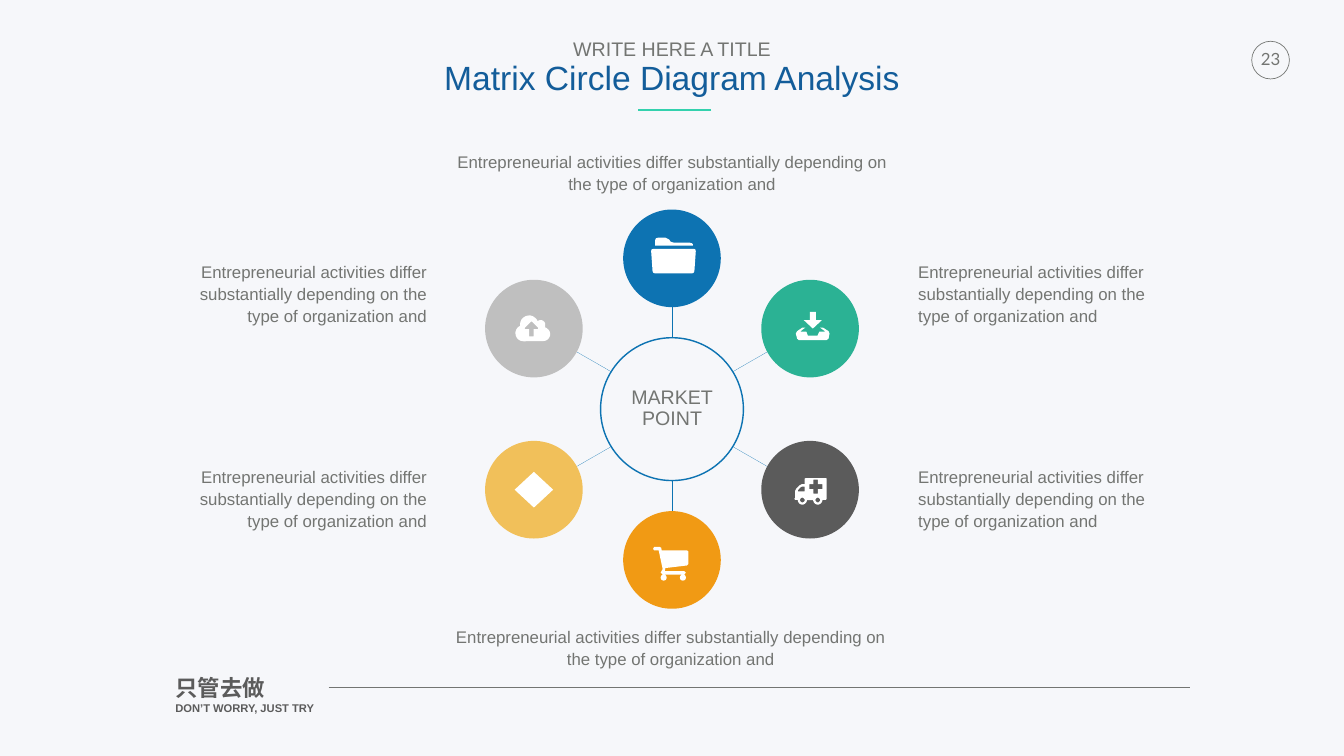
from dataclasses import dataclass
from math import cos, radians, sin

from lxml.etree import SubElement
from pptx import Presentation
from pptx.dml.color import RGBColor
from pptx.enum.shapes import MSO_CONNECTOR, MSO_SHAPE
from pptx.enum.text import MSO_ANCHOR, PP_ALIGN
from pptx.oxml.ns import qn
from pptx.util import Cm, Pt


@dataclass(frozen=True)
class Theme:
    background: str = "F6F7FA"
    grey: str = "737572"
    dark: str = "5B5B5B"
    title: str = "135D9A"
    accent: str = "33D1AD"
    blue: str = "0D73B2"
    green: str = "2BB294"
    orange: str = "F19A14"
    yellow: str = "F1C05A"
    silver: str = "BFBFBF"
    white: str = "FFFFFF"
    font: str = "Arial"
    number_font: str = "Lato"
    title_size: int = 48
    slogan_size: int = 32
    heading_size: int = 28
    body_size: int = 24
    small_size: int = 16


theme = Theme()


def add_text(box, lines, align=PP_ALIGN.CENTER, spacing=1.0, inset=0.0,
             anchor=MSO_ANCHOR.TOP, wrap=True, bold=False, font=theme.font):
    """Add a text box; each line is (text, size, colour)."""
    text_frame = slide.shapes.add_textbox(*map(Cm, box)).text_frame
    text_frame.word_wrap = wrap
    text_frame.vertical_anchor = anchor
    text_frame.margin_left = text_frame.margin_right = Cm(inset)
    text_frame.margin_top = text_frame.margin_bottom = Cm(inset)
    text_frame.text = "\n".join(text for text, _, _ in lines)
    for paragraph, (_, size, color) in zip(text_frame.paragraphs, lines):
        paragraph.alignment = align
        paragraph.line_spacing = spacing
        run_font = paragraph.runs[0].font
        run_font.name, run_font.size, run_font.bold = font, Pt(size), bold
        run_font.color.rgb = RGBColor.from_string(color)


def arc(x, y, radius, start, end, steps=16):
    """Points along an arc, in degrees clockwise from the right."""
    angles = [radians(start + (end - start) * i / steps) for i in range(steps + 1)]
    return [(x + radius * cos(angle), y + radius * sin(angle)) for angle in angles]


presentation = Presentation()
presentation.slide_width = Cm(67.74)
presentation.slide_height = Cm(38.1)
slide = presentation.slides.add_slide(presentation.slide_layouts[6])
slide.background.fill.solid()
slide.background.fill.fore_color.rgb = RGBColor.from_string(theme.background)

center_x, center_y = 33.87, 20.62

# Lines: footer rule, title accent and the six spokes
lines = [
    (16.56, 34.65, 59.99, 34.65, theme.grey, 0.25),
    (35.84, 5.54, 32.18, 5.54, theme.accent, 3),
]
spokes = [(0, 5.13, 0, 3.64)] + [(side * 4.91, 2.95, side * 3, 1.85) for side in (-1, 1)]
for outer_x, outer_y, inner_x, inner_y in spokes:
    for direction in (-1, 1):
        lines.append((center_x + outer_x, center_y + direction * outer_y,
                      center_x + inner_x, center_y + direction * inner_y,
                      theme.blue, 0.25))
for *ends, color, width in lines:
    connector = slide.shapes.add_connector(MSO_CONNECTOR.STRAIGHT, *map(Cm, ends))
    connector.line.color.rgb = RGBColor.from_string(color)
    connector.line.width = Pt(width)
    SubElement(connector._element.spPr, qn("a:effectLst"))

# Icon outlines, in hundredths of a centimetre from the circle's centre
folder = [
    [(108, -48), (-93, -48), (-103, -45), (-105, -36), (-98, 64), (-94, 73), (-85, 76),
     (100, 76), (109, 73), (113, 64), (120, -36), (117, -46)],
    [(105, -71), (100, -76), (88, -79), (11, -79), (-2, -82), (-9, -86), (-14, -95),
     (-32, -104), (-70, -104), (-81, -101), (-85, -91), (-85, -64), (105, -64)],
]
download = [
    [(93, 13), (65, -5), (50, -5), (77, 15), (47, 15), (37, 36), (-11, 36), (-19, 15),
     (-50, 15), (-24, -5), (-39, -5), (-65, 13), (-72, 25), (-65, 51), (-57, 58),
     (83, 58), (93, 51), (98, 25)],
    [(60, -43), (29, -43), (29, -84), (-1, -84), (-1, -43), (-32, -43), (14, 0)],
]
ambulance = [
    [(84, 46), (80, 51), *arc(39, 52, 23, 0, 180), *arc(-39, 52, 23, 0, 180),
     (-75, 51), (-80, 46), (-75, 41), (-75, 5), (-70, -5), (-52, -23), (-42, -28),
     (-27, -28), (-27, -56), (-23, -58), (80, -58), (84, -56)],
    [(-27, 8), (-27, -15), (-42, -15), (-46, -14), (-62, 3), (-62, 8)],
    [(62, -28), (39, -28), (39, -51), (17, -51), (17, -28), (-4, -28), (-4, -3),
     (17, -3), (17, 20), (39, 20), (39, -3), (62, -3)],
    arc(-39, 52, 12, 0, 360),
    arc(39, 52, 12, 0, 360),
]
cart = [
    [(83, 20), (75, 28), (-34, 41), (-34, 51), (-37, 56), (62, 56), (70, 64), (62, 74),
     (-47, 74), (-57, 64), (-47, 46), (-67, -48), (-90, -48), (-95, -56), (-90, -66),
     (-62, -66), (-54, -61), (-52, -48), (75, -48), (83, -43)],
    arc(-42, 89, 15, 0, 360),
    arc(55, 89, 15, 0, 360),
]
cloud = [
    [*arc(-52, 23, 41, 90, 245), *arc(-24, -20, 46, 180, 337),
     *arc(34, -20, 23, 230, 380), *arc(47, 28, 35, -75, 90)],
    [(22, -3), (-9, -35), (-14, -35), (-47, -3), (-44, 3), (-24, 3), (-24, 39),
     (-1, 39), (-1, 3), (20, 3)],
]
diamond = [[(0, -90), (97, 0), (0, 90), (-97, 0)]]

# Six circles with their icons
diameter = 4.92
filled_shapes = []
nodes = [
    (0, -7.6, theme.blue, folder),
    (0, 7.6, theme.orange, cart),
    (-6.96, -4.06, theme.silver, cloud),
    (6.96, 4.06, theme.dark, ambulance),
    (-6.96, 4.06, theme.yellow, diamond),
    (6.96, -4.06, theme.green, download),
]
for offset_x, offset_y, color, icon in nodes:
    x, y = center_x + offset_x, center_y + offset_y
    circle = slide.shapes.add_shape(
        MSO_SHAPE.OVAL, Cm(x - diameter / 2), Cm(y - diameter / 2), Cm(diameter), Cm(diameter))
    builder = slide.shapes.build_freeform(*icon[0][0], scale=Cm(0.01))
    builder.add_line_segments(icon[0][1:])
    for contour in icon[1:]:
        builder.move_to(*contour[0])
        builder.add_line_segments(contour[1:])
    icon_shape = builder.convert_to_shape(Cm(x), Cm(y))
    filled_shapes += [(circle, color, None, 0), (icon_shape, theme.white, None, 0)]

# Hub and page number ring
hub = slide.shapes.add_shape(
    MSO_SHAPE.OVAL, Cm(center_x - 3.6), Cm(center_y - 3.6), Cm(7.2), Cm(7.2))
ring = slide.shapes.add_shape(MSO_SHAPE.OVAL, Cm(63.09), Cm(2.08), Cm(1.9), Cm(1.9))
filled_shapes += [(hub, theme.background, theme.blue, 2), (ring, None, theme.grey, 1)]

for shape, fill, outline, width in filled_shapes:
    shape.shadow.inherit = False
    if fill:
        shape.fill.solid()
        shape.fill.fore_color.rgb = RGBColor.from_string(fill)
    else:
        shape.fill.background()
    if outline:
        shape.line.color.rgb = RGBColor.from_string(outline)
        shape.line.width = Pt(width)
    else:
        shape.line.fill.background()

# Title, page number, hub label and footer slogan
add_text((22.25, 1.88, 23.24, 3.38),
         [("WRITE HERE A TITLE", theme.heading_size, theme.grey),
          ("Matrix Circle Diagram Analysis", theme.title_size, theme.title)],
         spacing=0.9, inset=0.13, wrap=False)
add_text((63.09, 2.43, 1.9, 1.2), [("23", theme.body_size, theme.grey)],
         wrap=False, font=theme.number_font)
add_text((31.32, 19.23, 5.11, 2.77),
         [(word, theme.heading_size, theme.grey) for word in ("MARKET", "POINT")],
         spacing=0.89, inset=0.25, anchor=MSO_ANCHOR.MIDDLE)
add_text((8.71, 33.86, 10.13, 2.51),
         [("只管去做", theme.slogan_size, theme.dark),
          ("DON’T WORRY, JUST TRY", theme.small_size, theme.dark)],
         align=PP_ALIGN.LEFT, inset=0.13, bold=True)

# Descriptions around the diagram
description = "Entrepreneurial activities differ substantially depending on the type of organization and"
descriptions = [
    ((22.73, 7.57, 22.28, 2.16), PP_ALIGN.CENTER),
    ((22.66, 31.52, 22.28, 2.16), PP_ALIGN.CENTER),
]
for top in (13.13, 23.44):
    descriptions.append(((8.94, top, 12.57, 3.28), PP_ALIGN.RIGHT))
    descriptions.append(((46.28, top, 12.57, 3.28), PP_ALIGN.LEFT))
for box, align in descriptions:
    add_text(box, [(description, theme.body_size, theme.grey)], align=align,
             spacing=1.1, anchor=MSO_ANCHOR.MIDDLE)

presentation.save("out.pptx")
